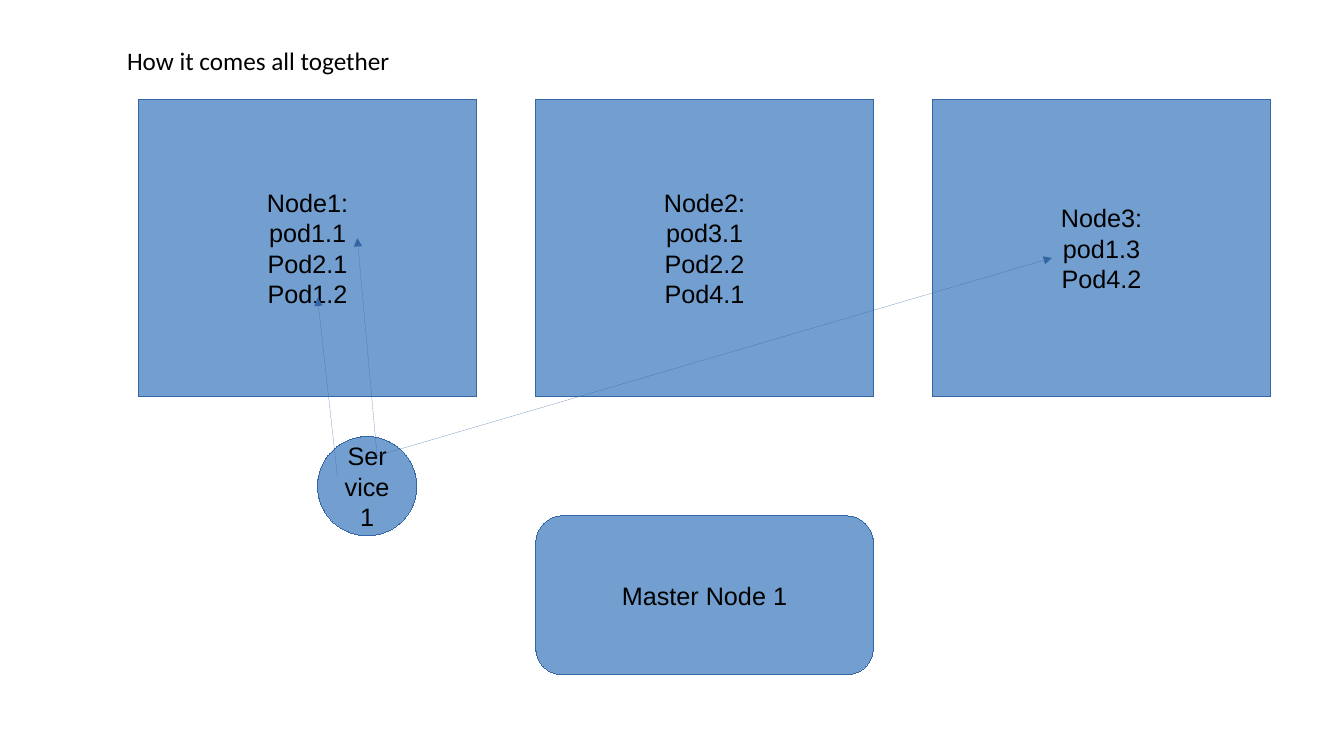
from lxml.etree import SubElement
from pptx import Presentation
from pptx.dml.color import RGBColor
from pptx.enum.shapes import MSO_CONNECTOR, MSO_SHAPE
from pptx.enum.text import MSO_ANCHOR, PP_ALIGN
from pptx.oxml.ns import qn
from pptx.util import Cm, Inches, Pt

BLUE = RGBColor(0x72, 0x9F, 0xCF)
DARK_BLUE = RGBColor(0x34, 0x65, 0xA4)
BLACK = RGBColor(0, 0, 0)
# A width of exactly zero is not stored, and the theme's thicker line would show
HAIRLINE = Pt(0.01)


def write_text(frame, paragraphs, font="Arial", size=18, color=BLACK,
               align=PP_ALIGN.CENTER, margins=(0.1, 0.05)):
    """Fill a text frame; a vertical tab inside a paragraph is a line break."""
    frame.word_wrap = True
    frame.vertical_anchor = MSO_ANCHOR.MIDDLE
    frame.margin_left = frame.margin_right = Inches(margins[0])
    frame.margin_top = frame.margin_bottom = Inches(margins[1])
    frame.text = "\n".join(paragraphs)
    for para in frame.paragraphs:
        para.alignment = align
        for span in para.runs:
            span.font.name = font
            span.font.size = Pt(size)
            span.font.color.rgb = color


class ClusterPage:
    """Places elements on a grid of half-centimetre columns and rows."""

    CELL = Cm(0.5)

    def __init__(self, deck):
        self.page = deck.slides.add_slide(deck.slide_layouts[5])

    def grid(self, *cells):
        return [round(cell * self.CELL) for cell in cells]

    def title(self, text, column, row, columns, rows):
        box = self.page.shapes.title
        box.left, box.top, box.width, box.height = self.grid(column, row, columns, rows)
        write_text(box.text_frame, [text], font="Calibri",
                   align=PP_ALIGN.LEFT, margins=(0, 0))

    def box(self, kind, column, row, columns, rows, paragraphs):
        box = self.page.shapes.add_shape(kind, *self.grid(column, row, columns, rows))
        box.shadow.inherit = False
        box.fill.solid()
        box.fill.fore_color.rgb = BLUE
        box.line.color.rgb = DARK_BLUE
        box.line.width = HAIRLINE
        write_text(box.text_frame, paragraphs)

    def arrow(self, tip, tail):
        """Draw a hairline with its arrowhead at the tip."""
        arrow = self.page.shapes.add_connector(
            MSO_CONNECTOR.STRAIGHT, *self.grid(*tip, *tail))
        arrow.line.color.rgb = DARK_BLUE
        arrow.line.width = HAIRLINE
        outline = arrow._element.spPr.find(qn("a:ln"))
        SubElement(outline, qn("a:headEnd"), type="triangle")
        SubElement(arrow._element.spPr, qn("a:effectLst"))


def main():
    deck = Presentation()
    deck.slide_width, deck.slide_height = Inches(13.33), Inches(7.5)
    cluster = ClusterPage(deck)

    cluster.title("How it comes all together", 6.4, 2.1, 44.45, 1.9)

    # Worker nodes, one every 20 columns
    nodes = [
        ["Node1:\vpod1.1", "Pod2.1", "Pod1.2"],
        ["Node2:\vpod3.1", "Pod2.2", "Pod4.1"],
        ["Node3:\vpod1.3", "Pod4.2"],
    ]
    for index, pods in enumerate(nodes):
        cluster.box(MSO_SHAPE.RECTANGLE, 7 + 20 * index, 5, 17, 15, pods)

    # Master node and service
    cluster.box(MSO_SHAPE.ROUNDED_RECTANGLE, 27, 26, 17, 8, ["Master Node 1"])
    cluster.box(MSO_SHAPE.OVAL, 16, 22, 5, 5, ["Service1"])

    # Arrows from the service to its pods
    for tip, tail in [((18, 12), (19, 23)), ((16, 15), (17, 24)), ((53, 13), (18.9, 23))]:
        cluster.arrow(tip, tail)

    deck.save("out.pptx")


if __name__ == "__main__":
    main()
